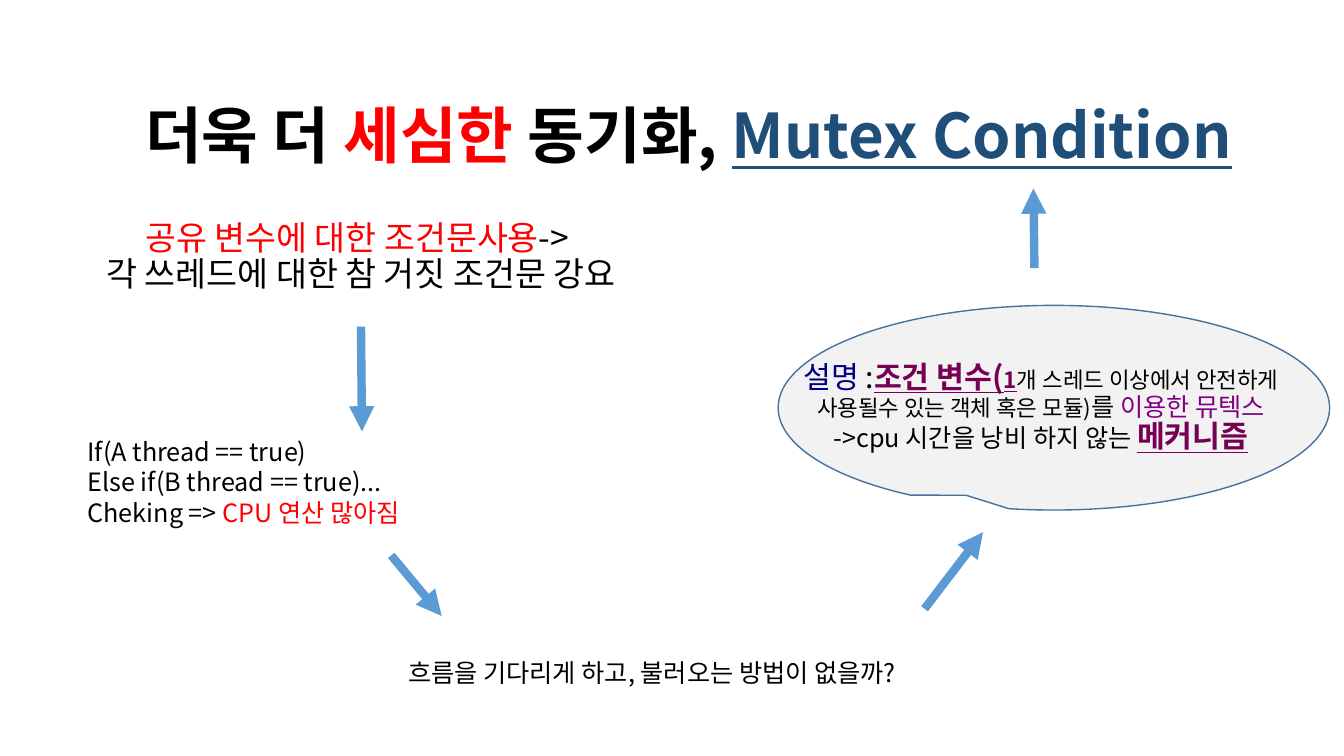
import pptx
import pptx.dml.color
import pptx.enum.shapes
import pptx.enum.text
import pptx.oxml
import pptx.oxml.ns
import pptx.util
from dataclasses import dataclass


@dataclass(frozen=True)
class Theme:
    font: str = "Noto Sans CJK KR"
    black: str = "000000"
    red: str = "FF0000"
    heading_blue: str = "1F4E79"
    navy: str = "00007E"
    plum: str = "770055"
    purple: str = "80007F"
    arrow: str = "5B9BD5"
    bubble: str = "F2F2F2"
    outline: str = "43739E"
    title: float = 44
    lead: float = 24
    term: float = 21.6
    body: float = 18
    small: float = 16


def rgb(value):
    return pptx.dml.color.RGBColor.from_string(value)


class SlideBuilder:
    """Places elements by percentages of the slide's width and height."""

    def __init__(self, presentation, theme):
        self.theme = theme
        self.width = presentation.slide_width
        self.height = presentation.slide_height
        self.slide = presentation.slides.add_slide(presentation.slide_layouts[6])

    def place(self, *percents):
        sides = (self.width, self.height)
        return [int(sides[i % 2] * value / 100) for i, value in enumerate(percents)]

    def style_run(self, run, size, color, strong=False, underline=False):
        formats = {
            "name": self.theme.font,
            "size": pptx.util.Pt(size),
            "bold": strong,
            "underline": underline,
        }
        for name, value in formats.items():
            setattr(run.font, name, value)
        run.font.color.rgb = rgb(color)
        # East Asian text needs its own font entry after the Latin one
        east_asian = pptx.oxml.parse_xml(
            f'<a:ea {pptx.oxml.ns.nsdecls("a")} typeface="{self.theme.font}"/>')
        run.font._element.append(east_asian)

    def text(self, box, paragraphs, centered=False):
        """Each paragraph is a list of runs; None marks a line break."""
        frame = self.slide.shapes.add_textbox(*self.place(*box)).text_frame
        frame.word_wrap = True
        anchors = pptx.enum.text.MSO_ANCHOR
        frame.vertical_anchor = anchors.MIDDLE if centered else anchors.TOP
        for index, runs in enumerate(paragraphs):
            paragraph = frame.add_paragraph() if index else frame.paragraphs[0]
            if centered:
                paragraph.alignment = pptx.enum.text.PP_ALIGN.CENTER
                paragraph.line_spacing = 0.9
            for item in runs:
                if item is None:
                    paragraph.add_line_break()
                    continue
                words, *style = item
                run = paragraph.add_run()
                run.text = words
                self.style_run(run, *style)

    def callout(self, box, pointer):
        shape = self.slide.shapes.add_shape(
            pptx.enum.shapes.MSO_SHAPE.OVAL_CALLOUT, *self.place(*box))
        for index, value in enumerate(pointer):
            shape.adjustments[index] = value
        shape.shadow.inherit = False
        shape.fill.solid()
        shape.fill.fore_color.rgb = rgb(self.theme.bubble)
        shape.line.color.rgb = rgb(self.theme.outline)
        shape.line.width = pptx.util.Pt(1)

    def arrow(self, start, end):
        connector = self.slide.shapes.add_connector(
            pptx.enum.shapes.MSO_CONNECTOR.STRAIGHT, *self.place(*start, *end))
        connector.line.color.rgb = rgb(self.theme.arrow)
        connector.line.width = pptx.util.Pt(6)
        namespace = pptx.oxml.ns.nsdecls("a")
        connector.line._get_or_add_ln().append(
            pptx.oxml.parse_xml(f'<a:tailEnd {namespace} type="triangle"/>'))
        connector._element.spPr.append(
            pptx.oxml.parse_xml(f"<a:effectLst {namespace}/>"))


def main():
    presentation = pptx.Presentation()
    presentation.slide_width = pptx.util.Inches(13.33)
    presentation.slide_height = pptx.util.Inches(7.5)
    theme = Theme()
    builder = SlideBuilder(presentation, theme)

    # Speech bubble behind the explanation
    builder.callout((57.9, 40.4, 41.03, 27.07), (-0.159, 0.428))

    # Title
    builder.text((6.68, 9.2, 89.12, 18.27), [[
        ("더욱 더 ", theme.title, theme.black, True),
        ("세심한 ", theme.title, theme.red, True),
        ("동기화, ", theme.title, theme.black, True),
        ("Mutex Condition", theme.title, theme.heading_blue, True, True),
    ]], centered=True)

    # Explanation of the condition variable
    builder.text((57.16, 45.47, 40.59, 17.07), [[
        ("설명", theme.term, theme.navy),
        (" :", theme.term, theme.black),
        ("조건 변수(", theme.term, theme.plum, True, True),
        ("1", theme.small, theme.plum, True, True),
        ("개 스레드 이상에서 안전하게 사용될수 있는 객체 혹은 모듈)",
         theme.small, theme.black),
        ("를 ", theme.body, theme.black),
        ("이용한 뮤텍스", theme.body, theme.purple),
        None,
        ("->cpu 시간을 낭비 하지 않는 ", theme.body, theme.black),
        ("메커니즘", theme.term, theme.plum, True, True),
    ]], centered=True)

    # Conditions on the shared variable
    builder.text((3, 24.93, 47.71, 18.27), [[
        ("공유 변수에 대한 조건문사용", theme.lead, theme.red),
        ("-> ", theme.lead, theme.black),
        None,
        ("각 쓰레드에 대한 참 거짓 조건문 강요", theme.lead, theme.black),
    ]], centered=True)

    # Pseudocode and the closing question
    builder.text((5.78, 57.07, 42.24, 13.47), [
        [("If(A thread == true)", theme.body, theme.black)],
        [("Else if(B thread == true)...", theme.body, theme.black)],
        [("Cheking => ", theme.body, theme.black),
         ("CPU 연산 많아짐", theme.body, theme.red)],
    ])
    builder.text((29.63, 86.27, 42.24, 5.33), [
        [("흐름을 기다리게 하고, 불러오는 방법이 없을까?", theme.body, theme.black)],
    ])

    # Arrows from the conditions round to the title
    for start, end in (
        ((26.86, 43.2), (26.93, 57.07)),
        ((29.11, 73.47), (32.86, 81.47)),
        ((68.79, 80.53), (73.14, 70.4)),
        ((76.97, 35.47), (76.89, 24.93)),
    ):
        builder.arrow(start, end)

    presentation.save("out.pptx")


if __name__ == "__main__":
    main()
